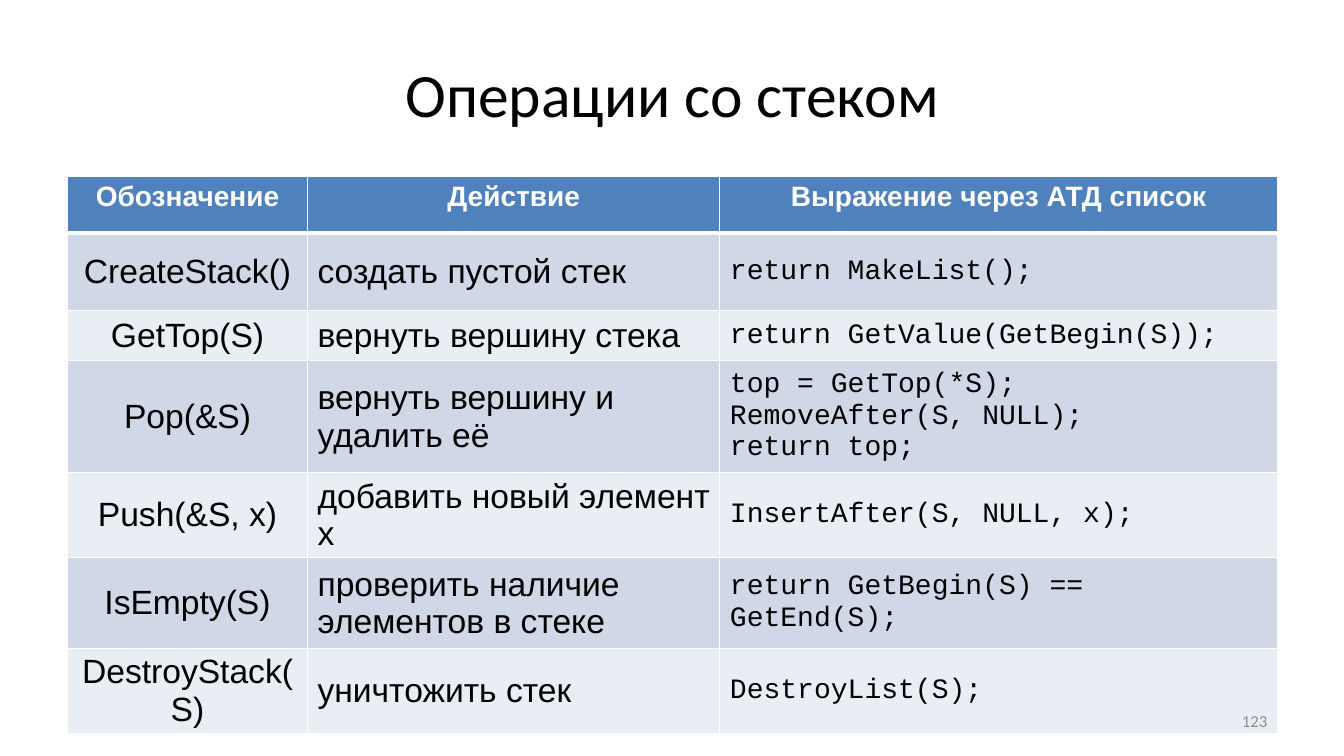
from typing import NamedTuple

import pptx
import pptx.dml.color
import pptx.enum.text
import pptx.oxml
import pptx.oxml.ns
import pptx.util
from pptx.dml.color import RGBColor
from pptx.enum.text import MSO_ANCHOR, PP_ALIGN
from pptx.util import Inches, Pt

BLACK = RGBColor(0x00, 0x00, 0x00)
WHITE = RGBColor(0xFF, 0xFF, 0xFF)
GRAY = RGBColor(0x8C, 0x8C, 0x8C)
HEADER_BLUE = RGBColor(0x4F, 0x81, 0xBD)
BANDS = (RGBColor(0xD0, 0xD8, 0xE8), RGBColor(0xE9, 0xED, 0xF4))


class Operation(NamedTuple):
    name: str
    action: str
    code: str
    height: float


class Style(NamedTuple):
    font: str
    size: int
    color: RGBColor
    align: PP_ALIGN
    bold: bool = False


TITLE = Style("Calibri", 44, BLACK, PP_ALIGN.CENTER)
HEADER = Style("Arial", 20, WHITE, PP_ALIGN.CENTER, True)
PAGE_NUMBER = Style("Calibri", 12, GRAY, PP_ALIGN.RIGHT)
COLUMN_STYLES = (
    Style("Arial", 24, BLACK, PP_ALIGN.CENTER),
    Style("Arial", 24, BLACK, PP_ALIGN.LEFT),
    Style("Courier New", 20, BLACK, PP_ALIGN.LEFT),
)

COLUMN_WIDTHS = (2.38, 4.09, 5.53)
HEADER_HEIGHT = 0.56
HEADINGS = ("Обозначение", "Действие", "Выражение через АТД список")
OPERATIONS = (
    Operation("CreateStack()", "создать пустой стек", "return MakeList();", 0.77),
    Operation("GetTop(S)", "вернуть вершину стека", "return GetValue(GetBegin(S));", 0.5),
    Operation("Pop(&S)", "вернуть вершину и удалить её",
              "top = GetTop(*S);\nRemoveAfter(S, NULL);\nreturn top;", 1.11),
    Operation("Push(&S, x)", "добавить новый элемент x", "InsertAfter(S, NULL, x);", 0.56),
    Operation("IsEmpty(S)", "проверить наличие элементов в стеке",
              "return GetBegin(S) == GetEnd(S);", 0.9),
    Operation("DestroyStack(S)", "уничтожить стек", "DestroyList(S);", 0.56),
)


def write(frame: pptx.text.text.TextFrame, text: str, style: Style) -> None:
    frame.text = text
    for paragraph in frame.paragraphs:
        paragraph.alignment = style.align
        paragraph.font.name = style.font
        paragraph.font.size = Pt(style.size)
        paragraph.font.bold = style.bold
        paragraph.font.color.rgb = style.color


def add_borders(cell: pptx.table._Cell, top: float, bottom: float) -> None:
    properties = cell._tc.get_or_add_tcPr()
    for side, width in (("L", 1), ("R", 1), ("T", top), ("B", bottom)):
        properties.append(pptx.oxml.parse_xml(
            f'<a:ln{side} {pptx.oxml.ns.nsdecls("a")} w="{Pt(width)}">'
            f'<a:solidFill><a:srgbClr val="{WHITE}"/></a:solidFill></a:ln{side}>'))


def fill_cell(cell: pptx.table._Cell, text: str, style: Style, fill: RGBColor,
              anchor: MSO_ANCHOR, top: float = 1, bottom: float = 1) -> None:
    write(cell.text_frame, text, style)
    cell.vertical_anchor = anchor
    add_borders(cell, top, bottom)
    cell.fill.solid()
    cell.fill.fore_color.rgb = fill


def add_operations(page: pptx.slide.Slide) -> None:
    heights = (HEADER_HEIGHT, *(operation.height for operation in OPERATIONS))
    table = page.shapes.add_table(
        len(heights), len(COLUMN_WIDTHS), Inches(0.67), Inches(1.75),
        Inches(sum(COLUMN_WIDTHS)), Inches(sum(heights))).table
    for column, width in zip(table.columns, COLUMN_WIDTHS):
        column.width = Inches(width)
    for row, height in zip(table.rows, heights):
        row.height = Inches(height)

    for cell, heading in zip(table.rows[0].cells, HEADINGS):
        fill_cell(cell, heading, HEADER, HEADER_BLUE, MSO_ANCHOR.TOP, bottom=3)
    for index, operation in enumerate(OPERATIONS):
        texts = (operation.name, operation.action, operation.code)
        top = 3 if index == 0 else 1
        for cell, text, style in zip(table.rows[index + 1].cells, texts, COLUMN_STYLES):
            fill_cell(cell, text, style, BANDS[index % 2], MSO_ANCHOR.MIDDLE, top=top)


def main() -> None:
    deck = pptx.Presentation()
    deck.slide_width, deck.slide_height = Inches(13.33), Inches(7.5)
    page = deck.slides.add_slide(deck.slide_layouts[5])

    # Title
    title = page.shapes.title
    title.left, title.top = Inches(0.67), Inches(0.3)
    title.width, title.height = Inches(12), Inches(1.25)
    title.text_frame.vertical_anchor = MSO_ANCHOR.MIDDLE
    write(title.text_frame, "Операции со стеком", TITLE)

    # Table of stack operations
    add_operations(page)

    # Page number
    box = page.shapes.add_textbox(Inches(9.56), Inches(6.95), Inches(3.11), Inches(0.4))
    box.text_frame.word_wrap = True
    box.text_frame.vertical_anchor = MSO_ANCHOR.MIDDLE
    write(box.text_frame, "123", PAGE_NUMBER)

    deck.save("out.pptx")


if __name__ == "__main__":
    main()
